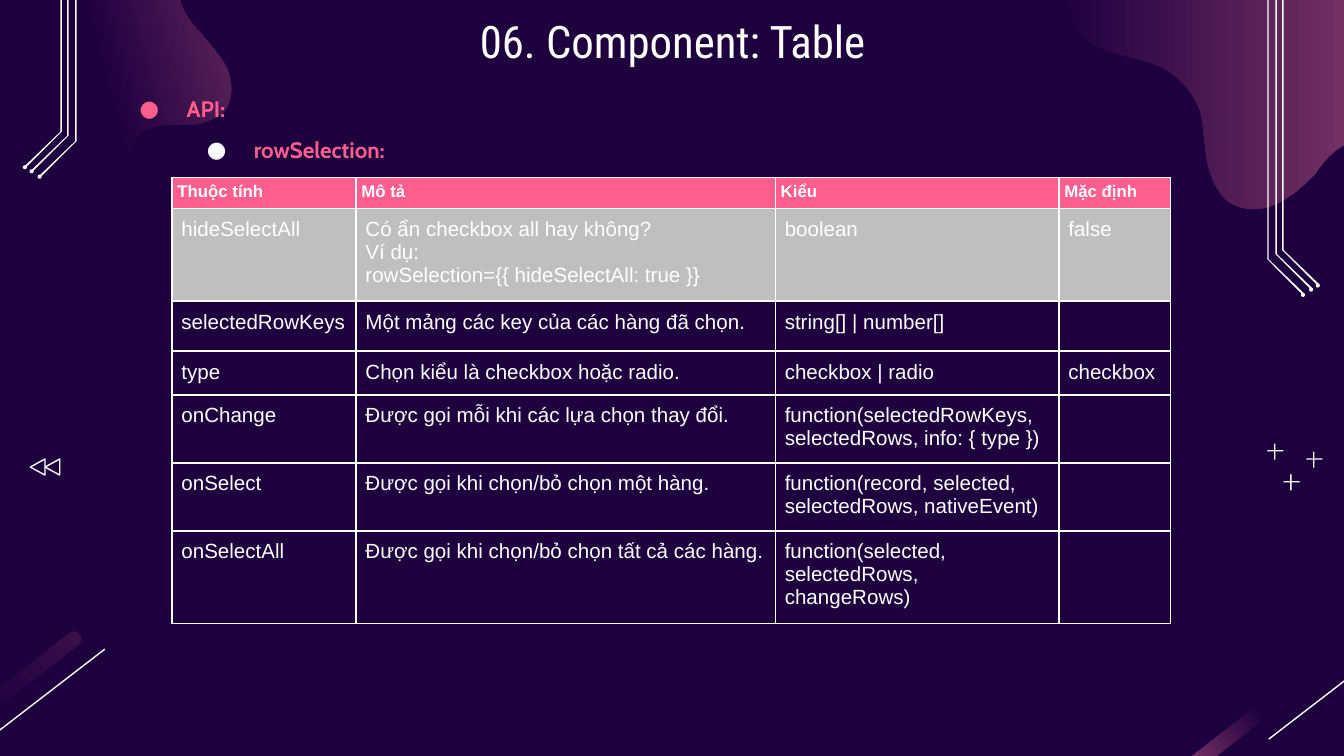
import dataclasses

import lxml.etree
import pptx
import pptx.dml.color
import pptx.enum.shapes
import pptx.enum.text
import pptx.oxml.ns
import pptx.util

Inches = pptx.util.Inches
Pt = pptx.util.Pt
SHAPES = pptx.enum.shapes.MSO_SHAPE
qn = pptx.oxml.ns.qn


@dataclasses.dataclass(frozen=True)
class Theme:
    night: str = "1E003F"
    plum: str = "A64D79"
    dusk: str = "3A1048"
    pink: str = "FF5E8E"
    grey: str = "BFBFBF"
    white: str = "FFFFFF"
    title_size: int = 24
    bullet_size: int = 12
    header_size: int = 9
    body_size: int = 11
    empty_size: int = 14
    line_width: float = 0.75
    border_width: float = 1


def rgb(value):
    return pptx.dml.color.RGBColor.from_string(value)


def apply(target, values):
    for name, value in values.items():
        setattr(target, name, value)


def trace_curves(start, curves, steps=10):
    """Turn cubic curves (x1, y1, x2, y2, x, y) into a list of points."""
    points = [start]
    for x1, y1, x2, y2, x3, y3 in curves:
        x0, y0 = points[-1]
        for step in range(1, steps + 1):
            t = step / steps
            a, b, c, d = (1 - t) ** 3, 3 * t * (1 - t) ** 2, 3 * t * t * (1 - t), t ** 3
            points.append((a * x0 + b * x1 + c * x2 + d * x3,
                           a * y0 + b * y1 + c * y2 + d * y3))
    return points


class Painter:
    def __init__(self, page, theme):
        self.page, self.theme = page, theme
        page.background.fill.solid()
        page.background.fill.fore_color.rgb = rgb(theme.night)

    def finish(self, shape, fill=None, line=None):
        shape.shadow.inherit = False
        if fill:
            shape.fill.solid()
            shape.fill.fore_color.rgb = rgb(fill)
        else:
            shape.fill.background()
        if line:
            shape.line.color.rgb = rgb(line)
            shape.line.width = Pt(self.theme.line_width)
        else:
            shape.line.fill.background()
        return shape

    def shape(self, kind, left, top, width, height, fill=None, line=None, rotation=0):
        box = self.page.shapes.add_shape(
            kind, Inches(left), Inches(top), Inches(width), Inches(height))
        box.rotation = rotation
        return self.finish(box, fill, line)

    def outline(self, points, fill=None):
        corners = [(Inches(x), Inches(y)) for x, y in points]
        builder = self.page.shapes.build_freeform(*corners[0])
        builder.add_line_segments(corners[1:], close=True)
        return self.finish(builder.convert_to_shape(), fill)

    def fade(self, shape, color, angle, start):
        """Fade from the background to color, counter-clockwise angle."""
        shape.fill.gradient()
        shape.fill.gradient_angle = angle
        for stop, position, tone in zip(shape.fill.gradient_stops, (start, 1),
                                        (self.theme.night, color)):
            stop.position = position
            stop.color.rgb = rgb(tone)

    def line(self, x1, y1, x2, y2):
        line = self.page.shapes.add_connector(
            pptx.enum.shapes.MSO_CONNECTOR.STRAIGHT,
            Inches(x1), Inches(y1), Inches(x2), Inches(y2))
        line.line.color.rgb = rgb(self.theme.white)
        line.line.width = Pt(self.theme.line_width)
        lxml.etree.SubElement(line._element.spPr, qn("a:effectLst"))

    def span(self, para, text, font, size, color, bold=False):
        span = para.add_run()
        span.text = text
        apply(span.font, {"name": font, "size": Pt(size), "bold": bold})
        span.font.color.rgb = rgb(color)

    def text_frame(self, left, top, width, height):
        box = self.page.shapes.add_textbox(
            Inches(left), Inches(top), Inches(width), Inches(height))
        margins = {"margin_" + side: Inches(0.1) for side in ("left", "top", "right", "bottom")}
        apply(box.text_frame, {"word_wrap": True, **margins})
        return box.text_frame

    def bullet(self, para, level, color):
        apply(para, {"level": level, "line_spacing": 1.5})
        props = para._p.get_or_add_pPr()
        props.set("marL", str(Inches(0.5 * (level + 1))))
        props.set("indent", str(Inches(-0.35)))
        tone = lxml.etree.SubElement(props, qn("a:buClr"))
        lxml.etree.SubElement(tone, qn("a:srgbClr"), val=color)
        lxml.etree.SubElement(props, qn("a:buFont"), typeface="Cabin")
        lxml.etree.SubElement(props, qn("a:buChar"), char="●")

    def cell(self, cell, text, margin, size, fill=None, bold=False):
        apply(cell, {"margin_" + side: Inches(margin)
                     for side in ("left", "top", "right", "bottom")})
        props = cell._tc.get_or_add_tcPr()
        for side in ("lnL", "lnR", "lnT", "lnB"):
            border = lxml.etree.SubElement(
                props, qn("a:" + side), w=str(Pt(self.theme.border_width)))
            paint = lxml.etree.SubElement(border, qn("a:solidFill"))
            lxml.etree.SubElement(paint, qn("a:srgbClr"), val=self.theme.white)
        if fill:
            cell.fill.solid()
            cell.fill.fore_color.rgb = rgb(fill)
        else:
            cell.fill.background()
        for index, line in enumerate(text.split("\n")):
            para = cell.text_frame.add_paragraph() if index else cell.text_frame.paragraphs[0]
            if line:
                self.span(para, line, "Arial", size, self.theme.white, bold)
            else:
                lxml.etree.SubElement(para._p, qn("a:endParaRPr"),
                                      sz=str(self.theme.empty_size * 100))

    def table(self, left, top, height, widths, rows):
        """Rows are as tall as their text needs."""
        frame = self.page.shapes.add_table(
            len(rows), len(widths), Inches(left), Inches(top),
            Inches(sum(widths)), Inches(height))
        table = frame.table
        apply(table, {"first_row": False, "horz_banding": False})
        for column, width in zip(table.columns, widths):
            column.width = Inches(width)
        header = (0.04, self.theme.header_size, self.theme.pink, True)
        styles = [header, (0.07, self.theme.body_size, self.theme.grey)]
        for index, texts in enumerate(rows):
            table.rows[index].height = Inches(0 if index else 0.2)
            style = styles[index] if index < len(styles) else (0.07, self.theme.body_size)
            for column, text in enumerate(texts):
                self.cell(table.cell(index, column), text, *style)
        frame.height = Inches(height)

    def circuit(self, mirrored, drop):
        """Three bent tracks with end dots, hung from the top edge."""
        for x, elbow in ((0.46, 0.98), (0.51, 1.01), (0.57, 1.05)):
            y, top = elbow + drop, drop - 2.07
            track = [(x - 0.01, top), (x, top), (x, y), (x - 0.27, y + 0.27),
                     (x - 0.28, y + 0.26), (x - 0.01, y)]
            self.outline([(10 - px if mirrored else px, py) for px, py in track],
                         self.theme.white)
            center = 10.27 - x if mirrored else x - 0.27
            self.shape(SHAPES.OVAL, center - 0.02, y + 0.25, 0.03, 0.03, self.theme.white)


LEFT_BLOB = [
    (0.74, 1.83, 0.86, 1.69, 0.9, 1.65), (0.98, 1.56, 1.01, 1.43, 0.99, 1.31),
    (0.98, 1.24, 0.95, 1.17, 0.97, 1.11), (0.98, 1.02, 1.06, 0.97, 1.14, 0.95),
    (1.24, 0.92, 1.33, 0.93, 1.42, 0.93), (1.46, 0.93, 1.58, 0.9, 1.66, 0.84),
    (1.74, 0.75, 1.73, 0.61, 1.69, 0.51), (1.64, 0.41, 1.55, 0.32, 1.48, 0.23),
    (1.4, 0.15, 1.33, 0.04, 1.33, -0.07), (1.33, -0.16, 1.36, -0.25, 1.43, -0.31),
    (1.47, -0.35, 1.53, -0.38, 1.59, -0.39), (1.68, -0.42, 1.79, -0.42, 1.9, -0.41),
    (2.01, -0.41, 2.12, -0.4, 2.23, -0.42), (2.37, -0.46, 2.46, -0.51, 2.52, -0.58),
    (2.59, -0.66, 2.61, -0.78, 2.58, -0.87), (2.56, -1.05, 2.44, -1.25, 2.33, -1.34),
    (2.15, -1.5, 1.9, -1.55, 1.67, -1.51), (1.29, -1.4, 1.03, -1.1, 0.7, -0.95),
    (0.65, -0.93, 0.59, -0.91, 0.54, -0.9), (0.22, -0.81, -0.13, -0.85, -0.47, -0.82),
    (-0.62, -0.81, -0.77, -0.78, -0.91, -0.74), (-1.04, -0.71, -1.16, -0.67, -1.28, -0.61),
    (-1.45, -0.54, -1.62, -0.44, -1.74, -0.3), (-1.86, -0.17, -1.95, 0.02, -1.94, 0.22),
    (-1.93, 0.46, -1.76, 0.68, -1.56, 0.8), (-1.35, 0.93, -1.12, 0.97, -0.88, 0.99),
    (-0.74, 1.01, -0.6, 1.01, -0.46, 1.06), (-0.32, 1.1, -0.19, 1.19, -0.13, 1.33),
    (-0.08, 1.44, -0.08, 1.55, -0.03, 1.66), (0.06, 1.84, 0.29, 1.95, 0.48, 1.9)]
RIGHT_BLOB = [
    (11.25, 0.13, 11.18, -0.13, 11.05, -0.35), (10.94, -0.54, 10.78, -0.7, 10.58, -0.77),
    (10.36, -0.85, 10.12, -0.81, 9.89, -0.84), (9.67, -0.87, 9.45, -0.97, 9.29, -1.13),
    (9.18, -1.23, 9.09, -1.35, 8.97, -1.41), (8.83, -1.48, 8.67, -1.46, 8.52, -1.43),
    (8.4, -1.4, 8.28, -1.36, 8.19, -1.29), (8.03, -1.17, 7.96, -0.97, 7.93, -0.78),
    (7.9, -0.65, 7.89, -0.51, 7.89, -0.38), (7.89, -0.31, 7.89, -0.24, 7.9, -0.18),
    (7.91, 0, 7.96, 0.18, 8.09, 0.3), (8.25, 0.42, 8.47, 0.42, 8.64, 0.5),
    (8.78, 0.57, 8.88, 0.69, 8.93, 0.83), (8.96, 0.94, 8.96, 1.07, 8.98, 1.19),
    (9, 1.3, 9.05, 1.43, 9.14, 1.5), (9.24, 1.57, 9.38, 1.57, 9.49, 1.52),
    (9.6, 1.47, 9.69, 1.39, 9.78, 1.3), (9.83, 1.23, 9.88, 1.16, 9.95, 1.11),
    (10.02, 1.06, 10.1, 1.03, 10.18, 1.06), (10.33, 1.1, 10.38, 1.3, 10.52, 1.38),
    (10.85, 1.57, 11.08, 1.12, 11.17, 0.88), (11.22, 0.72, 11.25, 0.55, 11.25, 0.38)]
ROWS = [
    ("Thuộc tính", "Mô tả", "Kiểu", "Mặc định"),
    ("hideSelectAll", "Có ẩn checkbox all hay không?\nVí dụ:\n"
     "rowSelection={{ hideSelectAll: true }}", "boolean", "false"),
    ("selectedRowKeys", "Một mảng các key của các hàng đã chọn.", "string[] | number[]", ""),
    ("type", "Chọn kiểu là checkbox hoặc radio.", "checkbox | radio", "checkbox"),
    ("onChange", "Được gọi mỗi khi các lựa chọn thay đổi.",
     "function(selectedRowKeys, selectedRows, info: { type })", ""),
    ("onSelect", "Được gọi khi chọn/bỏ chọn một hàng.",
     "function(record, selected, selectedRows, nativeEvent)", ""),
    ("onSelectAll", "Được gọi khi chọn/bỏ chọn tất cả các hàng.",
     "function(selected, selectedRows, changeRows)", "")]


def main():
    deck = pptx.Presentation()
    apply(deck, {"slide_width": Inches(10), "slide_height": Inches(10 * 9 / 16)})
    theme = Theme()
    painter = Painter(deck.slides.add_slide(deck.slide_layouts[6]), theme)

    for start, curves, angle, fade_start in (((0.48, 1.9), LEFT_BLOB, 15, 0.56),
                                             ((11.25, 0.38), RIGHT_BLOB, 0, 0)):
        painter.fade(painter.outline(trace_curves(start, curves)), theme.plum, angle, fade_start)
    for shift, color, angle in ((0, theme.dusk, 0), (9.53, theme.plum, 180)):
        bar = painter.shape(SHAPES.ROUNDED_RECTANGLE, shift - 1.08, 5.24, 1.87, 0.11,
                            rotation=-37.9)
        bar.adjustments[0] = 0.5
        painter.fade(bar, color, angle, 0.5)
        painter.line(shift + 0.78, 4.83, shift - 0.09, 5.5)
    painter.circuit(mirrored=True, drop=0.88)
    painter.circuit(mirrored=False, drop=0)
    for x, y in ((9.6, 3.58), (9.77, 3.41), (9.48, 3.35)):
        painter.shape(SHAPES.RECTANGLE, x, y - 0.05, 0.01, 0.12, theme.white)
        painter.shape(SHAPES.RECTANGLE, x - 0.05, y, 0.12, 0.01, theme.white)
    for x in (0.22, 0.33):
        painter.shape(SHAPES.ISOSCELES_TRIANGLE, x, 3.42, 0.12, 0.11,
                      line=theme.white, rotation=270)

    outline = painter.text_frame(0.79, 0.51, 8.12, 0.73)
    for level, (text, color) in enumerate((("API:", theme.pink), ("rowSelection:", theme.white))):
        para = outline.add_paragraph() if level else outline.paragraphs[0]
        painter.bullet(para, level, color)
        painter.span(para, text, "Cabin", theme.bullet_size, theme.pink, True)
    title = painter.text_frame(0.79, 0, 8.43, 0.63).paragraphs[0]
    title.alignment = pptx.enum.text.PP_ALIGN.CENTER
    painter.span(title, "06. Component: Table", "Roboto Condensed", theme.title_size, theme.white)
    painter.table(1.28, 1.32, 3.13, (1.37, 3.12, 2.11, 0.83), ROWS)
    deck.save("out.pptx")


if __name__ == "__main__":
    main()
